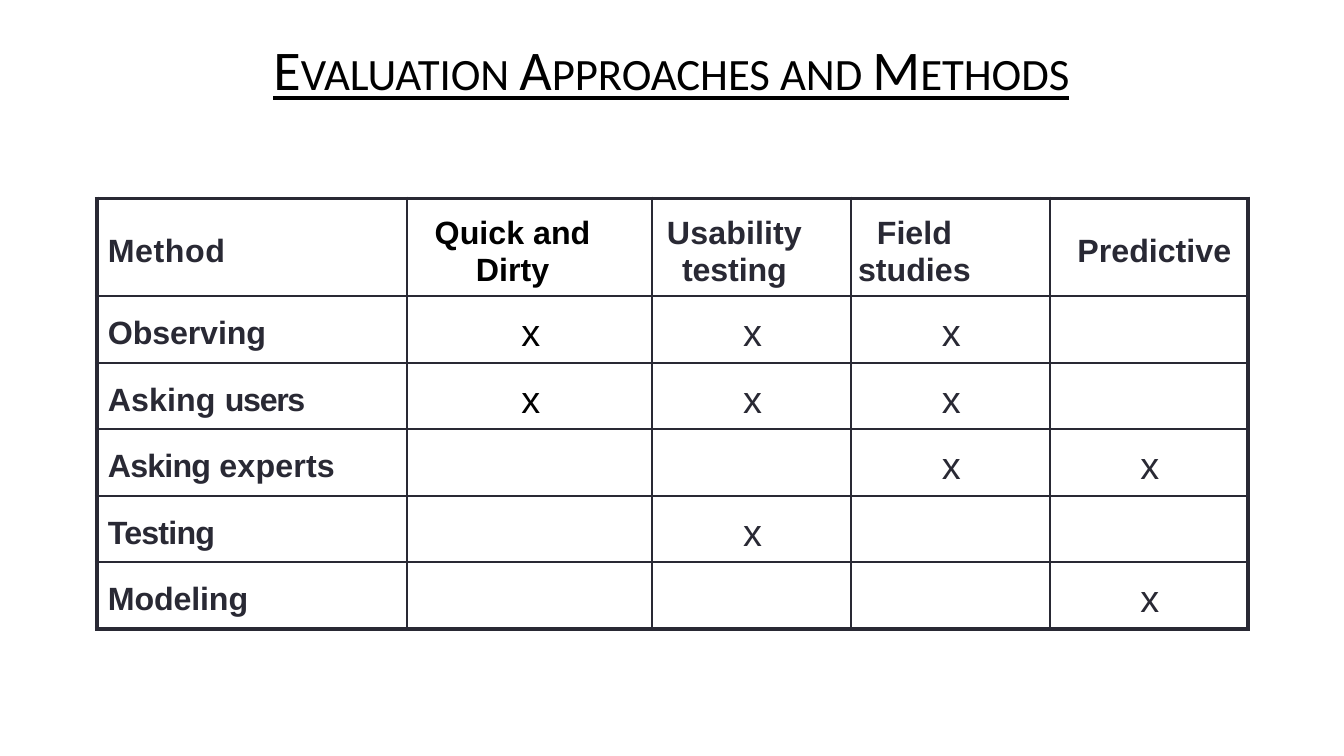
from lxml.etree import SubElement
from pptx import Presentation
from pptx.dml.color import RGBColor
from pptx.enum.text import MSO_ANCHOR, MSO_AUTO_SIZE, PP_ALIGN
from pptx.oxml.ns import qn
from pptx.util import Inches, Pt

WIDE, HIGH = 13.33, 7.5
HUES = {"ink": "292934", "black": "000000"}
THICK, THIN = 3, 1.5


def write(frame, text, font="Arial", size=23, hue="ink", bold=False, line=False,
          caps=False, align=PP_ALIGN.LEFT, lead=1.0):
    para = frame.paragraphs[0]
    para.alignment = align
    para.line_spacing = lead
    para.space_before = Pt(0)
    parts = [(text, 0)] if isinstance(text, str) else text
    for words, gap in parts:
        run = para.add_run()
        run.text = words
        run.font.name = font
        run.font.size = Pt(size)
        run.font.bold = bold
        run.font.underline = line
        run.font.color.rgb = RGBColor.from_string(HUES[hue])
        props = run._r.get_or_add_rPr()
        if gap:
            props.set("spc", str(round(gap * 100)))
        if caps:
            props.set("cap", "small")


class Page:
    def __init__(self, deck):
        self.slide = deck.slides.add_slide(deck.slide_layouts[5])

    def across(self, cols):
        return Inches(WIDE * cols / 100)

    def down(self, rows):
        return Inches(HIGH * rows / 100)

    def title(self, text, left, top, width, height):
        box = self.slide.shapes.title
        box.left, box.top = self.across(left), self.down(top)
        box.width, box.height = self.across(width), self.down(height)
        frame = box.text_frame
        frame.word_wrap = True
        frame.auto_size = MSO_AUTO_SIZE.NONE
        frame.vertical_anchor = MSO_ANCHOR.MIDDLE
        write(frame, text, font="Calibri", size=40, hue="black", line=True,
              caps=True, align=PP_ALIGN.CENTER, lead=0.9)

    def table(self, left, top, widths, heights):
        shape = self.slide.shapes.add_table(
            len(heights), len(widths), self.across(left), self.down(top),
            self.across(sum(widths)), self.down(sum(heights)))
        table = shape.table
        table.first_row = table.horz_banding = False
        for col, width in zip(table.columns, widths):
            col.width = self.across(width)
        for row, height in zip(table.rows, heights):
            row.height = self.down(height)
        last_row, last_col = len(heights) - 1, len(widths) - 1
        for r in range(len(heights)):
            for c in range(len(widths)):
                cell = table.cell(r, c)
                self.frame(cell, L=c == 0, R=c == last_col, T=r == 0, B=r == last_row)
                cell.fill.background()
        return table

    def frame(self, cell, **sides):
        props = cell._tc.get_or_add_tcPr()
        for side, outer in sides.items():
            edge = SubElement(props, qn("a:ln" + side),
                              w=str(Pt(THICK if outer else THIN)))
            fill = SubElement(edge, qn("a:solidFill"))
            SubElement(fill, qn("a:srgbClr"), val=HUES["ink"])

    def cell(self, cell, text, left=0.02, right=0, **form):
        cell.vertical_anchor = MSO_ANCHOR.MIDDLE
        cell.margin_left, cell.margin_right = Inches(left), Inches(right)
        cell.margin_top, cell.margin_bottom = Inches(0.08), 0
        write(cell.text_frame, text, **form)


HEADS = [
    ("Quick and Dirty", 0.11, 0.45, "black", 1.02),
    ([("Usability ", 0.05), ("testing", -0.1)], 0.11, 0.45, "ink", 1.02),
    ("Field studies", 0.02, 0.73, "ink", 1.02),
    ("Predictive", 0.11, 0, "ink", 1.0),
]
METHODS = [
    ([("Method", 0.4)], ()),
    ([("Observing", -0.1)], (1, 2, 3)),
    ([("Asking ", 0.05), ("users", -1)], (1, 2, 3)),
    ([("Asking ", -0.6), ("experts", 0.1)], (3, 4)),
    ([("Testing", -0.6)], (2,)),
    ([("Modeling", -0.1)], (4,)),
]


def main():
    deck = Presentation()
    deck.slide_width, deck.slide_height = Inches(WIDE), Inches(HIGH)
    page = Page(deck)
    page.title("Evaluation Approaches and Methods", 13.05, 3.87, 73.82, 11.33)
    table = page.table(7.2, 26.27, [23.11, 18.23] + [14.78] * 3, [12.93] + [8.8] * 5)
    for c, (text, left, right, hue, lead) in enumerate(HEADS, 1):
        page.cell(table.cell(0, c), text, left, right, hue=hue, bold=True,
                  align=PP_ALIGN.CENTER, lead=lead)
    for r, (name, marks) in enumerate(METHODS):
        page.cell(table.cell(r, 0), name, left=0.11, bold=True)
        for c in marks:
            page.cell(table.cell(r, c), "x", size=27, align=PP_ALIGN.CENTER,
                      hue="black" if c == 1 else "ink")
    deck.save("out.pptx")


if __name__ == "__main__":
    main()
